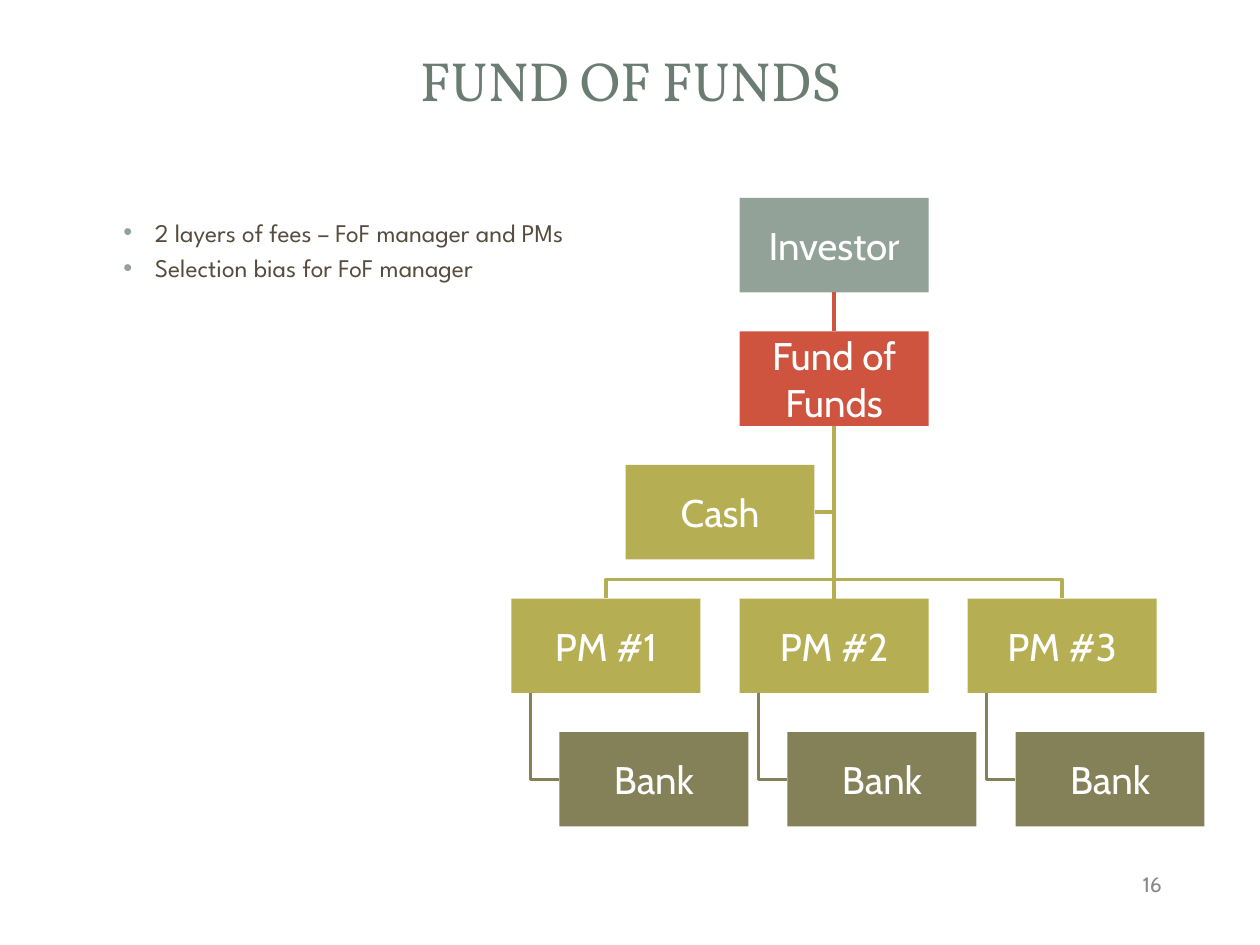
from typing import NamedTuple

from lxml.etree import SubElement
from pptx import Presentation
from pptx.dml.color import RGBColor
from pptx.enum.shapes import MSO_CONNECTOR, MSO_SHAPE
from pptx.enum.text import MSO_ANCHOR as ANCHOR, PP_ALIGN as ALIGN
from pptx.oxml.ns import qn
from pptx.util import Inches, Pt

WHITE = RGBColor(0xFF, 0xFF, 0xFF)
SAGE = RGBColor(0x93, 0xA2, 0x99)
RED = RGBColor(0xCF, 0x54, 0x3F)
OLIVE = RGBColor(0xB5, 0xAE, 0x53)
MOSS = RGBColor(0x84, 0x80, 0x58)
TITLE_GREEN = RGBColor(0x6B, 0x7D, 0x72)
BROWN = RGBColor(0x56, 0x4B, 0x3C)
GREY = RGBColor(0x89, 0x89, 0x89)

# Chart grid, in inches
LEFT, TOP = 4.06, 1.57
COL, ROW = 1.81, 1.06
BOX_W, BOX_H = 1.5, 0.75
BANK_SHIFT = 0.21  # share of a column
STEM = 0.15  # from a box's left side to its bank line
BUS = 0.15  # from the shared line down to the managers


class Box(NamedTuple):
    text: str
    col: float
    row: int
    color: RGBColor

    @property
    def x(self) -> float:
        return LEFT + self.col * COL

    @property
    def y(self) -> float:
        return TOP + self.row * ROW

    @property
    def center(self) -> float:
        return self.x + BOX_W / 2

    @property
    def middle(self) -> float:
        return self.y + BOX_H / 2

    @property
    def bottom(self) -> float:
        return self.y + BOX_H


INVESTOR = Box("Investor", 1, 0, SAGE)
FUND = Box("Fund of Funds", 1, 1, RED)
CASH = Box("Cash", 0.5, 2, OLIVE)
MANAGERS = [Box(f"PM #{i + 1}", i, 3, OLIVE) for i in range(3)]
BANKS = [Box("Bank", pm.col + BANK_SHIFT, 4, MOSS) for pm in MANAGERS]
BULLETS = ["2 layers of fees – FoF manager and PMs", "Selection bias for FoF manager"]


def set_frame(tf, margin_x: float, margin_y: float, anchor) -> None:
    values = dict(
        margin_left=Inches(margin_x), margin_right=Inches(margin_x),
        margin_top=Inches(margin_y), margin_bottom=Inches(margin_y),
        vertical_anchor=anchor, word_wrap=True,
    )
    for name, value in values.items():
        setattr(tf, name, value)


def write(p, text: str, align, font: str, size: float, color: RGBColor) -> None:
    p.alignment = align
    r = p.add_run()
    r.text = text
    for name, value in dict(name=font, size=Pt(size), bold=False).items():
        setattr(r.font, name, value)
    r.font.color.rgb = color


def add_bullet(p, color: RGBColor) -> None:
    pPr = p._p.get_or_add_pPr()
    pPr.set("marL", str(Inches(0.37)))
    pPr.set("indent", str(Inches(-0.25)))
    SubElement(SubElement(pPr, qn("a:buClr")), qn("a:srgbClr")).set("val", str(color))
    SubElement(pPr, qn("a:buFont")).set("typeface", "Arial")
    SubElement(pPr, qn("a:buChar")).set("char", "•")


def add_box(shapes, box: Box):
    sp = shapes.add_shape(MSO_SHAPE.RECTANGLE, Inches(box.x), Inches(box.y),
                          Inches(BOX_W), Inches(BOX_H))
    sp.shadow.inherit = False
    sp.fill.solid()
    sp.fill.fore_color.rgb = box.color
    sp.line.fill.background()
    set_frame(sp.text_frame, 0.02, 0.02, ANCHOR.MIDDLE)
    write(sp.text_frame.paragraphs[0], box.text, ALIGN.CENTER, "Cabin", 22, WHITE)
    return sp


def style_line(line, color: RGBColor) -> None:
    line.color.rgb = color
    line.width = Pt(2)


def join(shapes, upper, lower, color: RGBColor) -> None:
    """Draw a straight line from the bottom of one box to the top of another."""
    line = shapes.add_connector(MSO_CONNECTOR.STRAIGHT, 0, 0, 0, 0)
    line.begin_connect(upper, 2)
    line.end_connect(lower, 0)
    style_line(line.line, color)
    SubElement(line._element.spPr, qn("a:effectLst"))


def add_elbow(shapes, points: list[tuple[float, float]], color: RGBColor) -> None:
    start, *rest = [(Inches(x), Inches(y)) for x, y in points]
    builder = shapes.build_freeform(*start)
    builder.add_line_segments(rest, close=False)
    sp = builder.convert_to_shape()
    sp.shadow.inherit = False
    sp.fill.background()
    style_line(sp.line, color)


def add_chart_tree(shapes) -> None:
    fork = FUND.center, FUND.bottom
    add_elbow(shapes, [fork, (FUND.center, CASH.middle), (CASH.x + BOX_W, CASH.middle)], OLIVE)
    for pm in (MANAGERS[0], MANAGERS[2]):
        bus_y = pm.y - BUS
        add_elbow(shapes, [fork, (FUND.center, bus_y), (pm.center, bus_y), (pm.center, pm.y)], OLIVE)
    for pm, bank in zip(MANAGERS, BANKS):
        stem_x = pm.x + STEM
        add_elbow(shapes, [(stem_x, pm.bottom), (stem_x, bank.middle), (bank.x, bank.middle)], MOSS)

    investor, fund, _, *managers = [add_box(shapes, b) for b in (INVESTOR, FUND, CASH, *MANAGERS)]
    for bank in BANKS:
        add_box(shapes, bank)
    join(shapes, investor, fund, RED)
    join(shapes, fund, managers[1], OLIVE)


def main() -> None:
    prs = Presentation()
    prs.slide_width, prs.slide_height = Inches(10), Inches(7.5)
    shapes = prs.slides.add_slide(prs.slide_layouts[5]).shapes

    title = shapes.title
    title.left, title.top, title.width, title.height = map(Inches, (0.65, 0.32, 8.71, 0.62))
    set_frame(title.text_frame, 0.1, 0.05, ANCHOR.MIDDLE)
    write(title.text_frame.paragraphs[0], "FUND OF FUNDS", ALIGN.CENTER,
          "Vollkorn", 31.5, TITLE_GREEN)

    tf = shapes.add_textbox(*map(Inches, (0.76, 1.67, 4.21, 4.9))).text_frame
    set_frame(tf, 0.1, 0.05, ANCHOR.TOP)
    for i, text in enumerate(BULLETS):
        p = tf.add_paragraph() if i else tf.paragraphs[0]
        add_bullet(p, SAGE)
        if i:
            p.space_before = Pt(2.9)
        write(p, text, ALIGN.LEFT, "League Spartan", 14.55, BROWN)

    tf = shapes.add_textbox(*map(Inches, (8.91, 6.83, 0.41, 0.38))).text_frame
    set_frame(tf, 0.1, 0.05, ANCHOR.MIDDLE)
    write(tf.paragraphs[0], "16", ALIGN.RIGHT, "Cabin", 12, GREY)

    add_chart_tree(shapes)
    prs.save("out.pptx")


if __name__ == "__main__":
    main()
